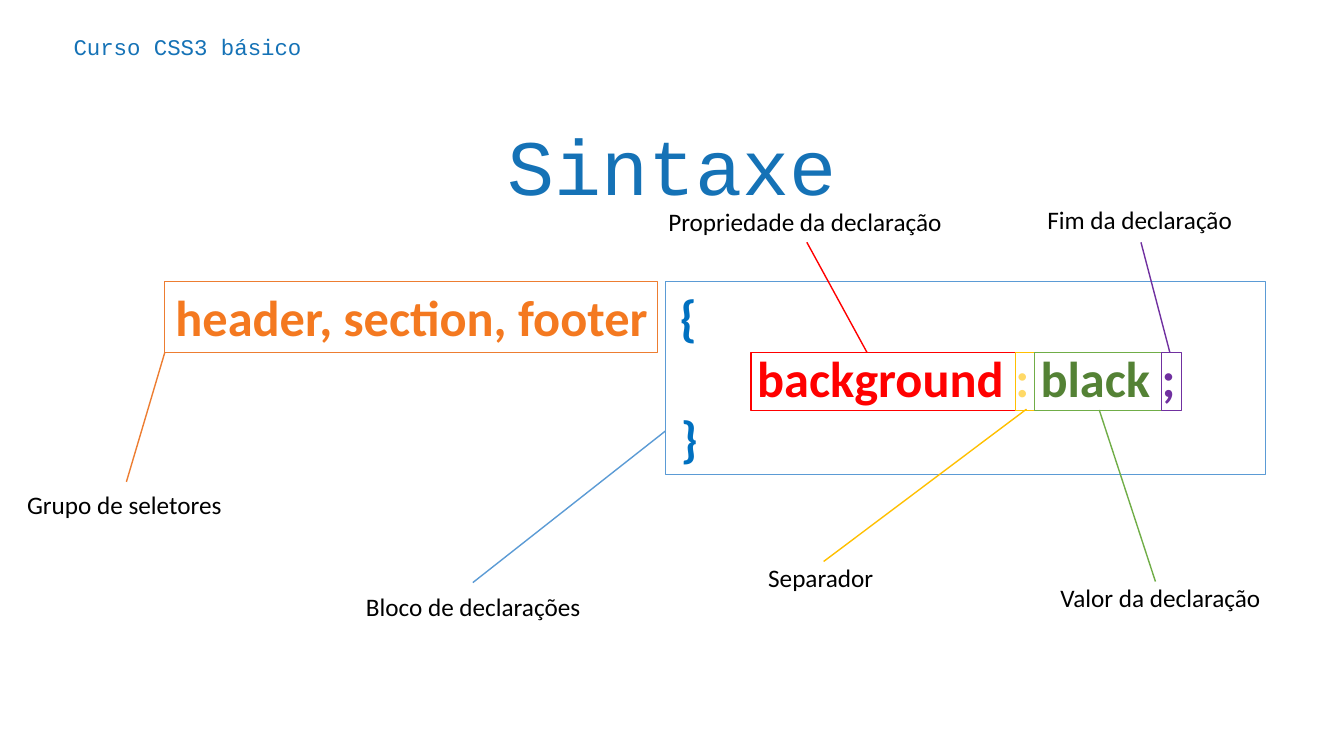
from pptx import Presentation
from pptx.dml.color import RGBColor
from pptx.enum.shapes import MSO_SHAPE
from pptx.enum.text import MSO_ANCHOR, PP_ALIGN
from pptx.oxml.ns import qn
from pptx.util import Inches, Pt
from lxml import etree

CALLOUT = MSO_SHAPE.LINE_CALLOUT_1
TOP, MIDDLE, BOTTOM = MSO_ANCHOR.TOP, MSO_ANCHOR.MIDDLE, MSO_ANCHOR.BOTTOM
LEFT, CENTER = PP_ALIGN.LEFT, PP_ALIGN.CENTER
WIDE, HIGH = Inches(13.33), Inches(7.5)
PAGE = (0, 0, WIDE, HIGH)
BLUE, BRACE, BLACK = "1572B6", "0070C0", "000000"
BODY = {"name": "Calibri", "size": Pt(18)}
CODE = {"name": "Calibri", "size": Pt(36), "bold": True}
HEAD = {"name": "Courier New", "size": Pt(16)}
TITLE = {"name": "Courier New", "size": Pt(56)}
BRACE_X, RULE_X = Inches(5.01), Inches(5.77)


def color(value):
    return RGBColor.from_string(value)


def part(box, x, y, w, h):
    left, top, width, height = box
    return (int(left + width * x / 100), int(top + height * y / 100),
            int(width * w / 100), int(height * h / 100))


def style(item, values):
    for name, value in values.items():
        setattr(item, name, value)


def write(para, runs, font):
    for text, tint in runs:
        run = para.add_run()
        run.text = text
        style(run.font, font)
        run.font.color.rgb = color(tint)


def frame(slide, box, wrap, **values):
    text = slide.shapes.add_textbox(*box).text_frame
    style(text, {"word_wrap": wrap, **values})
    return text


def heading(slide, box, text, font, align, anchor, base):
    pad = Inches(0.13)
    area = frame(slide, box, True, vertical_anchor=anchor, margin_left=pad,
                 margin_right=pad, margin_top=pad, margin_bottom=Inches(base))
    area.paragraphs[0].alignment = align
    write(area.paragraphs[0], [(text, BLUE)], font)


def code(slide, box):
    area = frame(slide, box, False, vertical_anchor=TOP)
    lines = [
        (0, [("header, section, footer", "F47920"), ("\t{", BRACE)]),
        (RULE_X, [("background ", "FF0000"), (": ", "FFD966"),
                  ("black ", "548235"), (";", "7030A0")]),
        (BRACE_X, [("}", BRACE)]),
    ]
    for i, (indent, runs) in enumerate(lines):
        para = area.add_paragraph() if i else area.paragraphs[0]
        props = para._p.get_or_add_pPr()
        props.set("marL", str(indent))
        props.set("indent", "0")
        if not indent:
            tabs = etree.SubElement(props, qn("a:tabLst"))
            etree.SubElement(tabs, qn("a:tab"), pos=str(BRACE_X), algn="l")
        write(para, runs, CODE)


def callout(slide, box, tint, ends):
    shape = slide.shapes.add_shape(CALLOUT, *box)
    shape.shadow.inherit = False
    shape.fill.background()
    shape.line.color.rgb = color(tint)
    shape.line.width = Pt(1)
    for i, end in enumerate(ends):
        shape.adjustments[i] = end


def label(slide, box, text):
    area = frame(slide, box, False)
    write(area.paragraphs[0], [(text, BLACK)], BODY)


def diagram(slide, box):
    code(slide, part(box, 0.1, 0, 93.8, 100))
    callout(slide, part(box, 0, 0, 44.78, 36.98), "ED7D31",
            (0.995, 0.001, 2.804, -0.077))
    callout(slide, part(box, 45.51, 0, 54.49, 100), "5B9BD5",
            (0.774, 0, 1.557, -0.321))
    x = 53.3
    for w, tint, ends in [
        (23.99, "FF0000", (-0.003, 0.439, -1.923, 0.211)),
        (1.74, "FFC000", (0.981, 0.583, 3.633, -10.002)),
        (11.54, "70AD47", (0.997, 0.51, 3.982, 0.952)),
        (1.83, "7030A0", (-0.003, 0.417, -1.923, -1.02)),
    ]:
        callout(slide, part(box, x, 36.98, w, 29.69), tint, ends)
        x += w
    for x, y, w, text in [
        (-13.37, 105.21, 19.69, "Grupo de seletores"),
        (17.4, 157.81, 21.52, "Bloco de declarações"),
        (44.87, -41.15, 26.92, "Propriedade da declaração"),
        (80.49, 153.13, 20.24, "Valor da declaração"),
        (53.94, 142.71, 11.54, "Separador"),
        (79.3, -42.19, 18.77, "Fim da declaração"),
    ]:
        label(slide, part(box, x, y, w, 20.83), text)


def main():
    deck = Presentation()
    style(deck, {"slide_width": WIDE, "slide_height": HIGH})
    slide = deck.slides.add_slide(deck.slide_layouts[6])
    diagram(slide, part(PAGE, 12.23, 37.2, 81.92, 25.6))
    heading(slide, part(PAGE, 4.5, 2.4, 91.9, 7.47), "Curso CSS3 básico",
            HEAD, LEFT, MIDDLE, 0.13)
    heading(slide, part(PAGE, 7.13, 12.8, 85.75, 15.2), "Sintaxe",
            TITLE, CENTER, BOTTOM, 0)
    deck.save("out.pptx")


if __name__ == "__main__":
    main()
